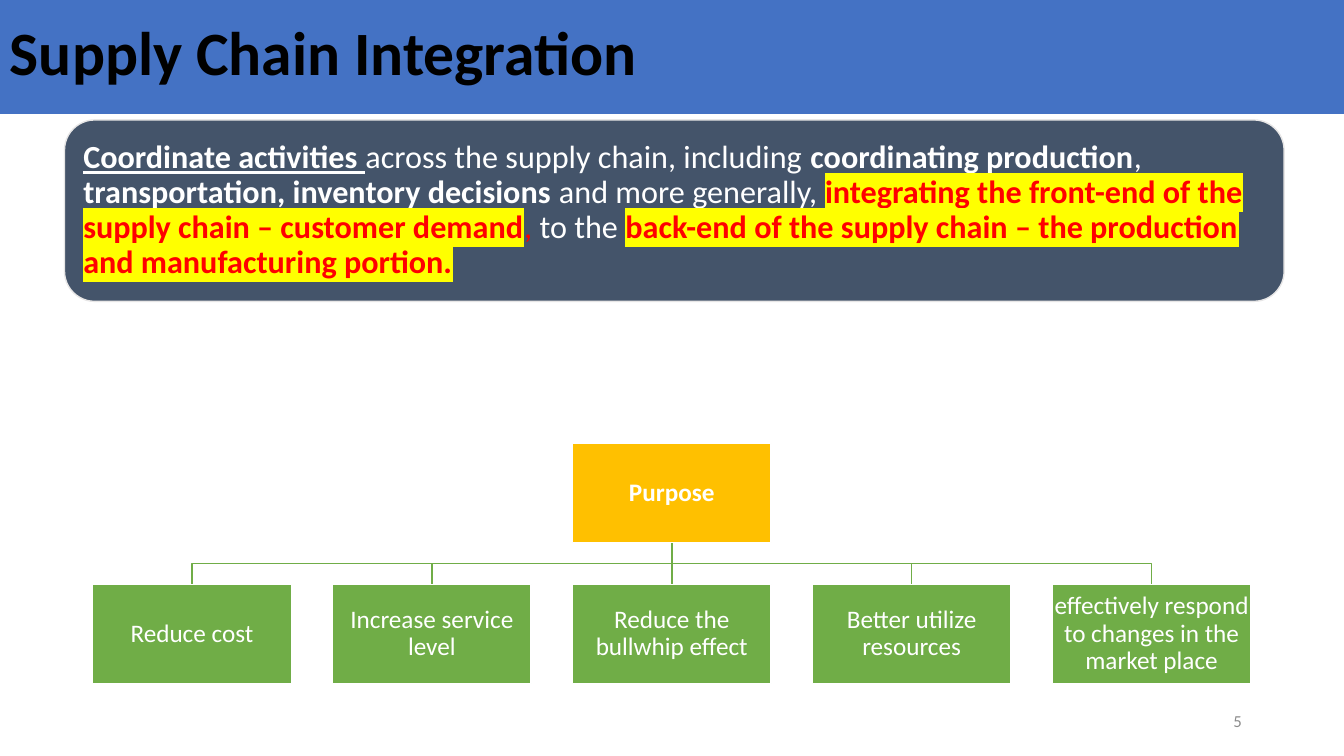
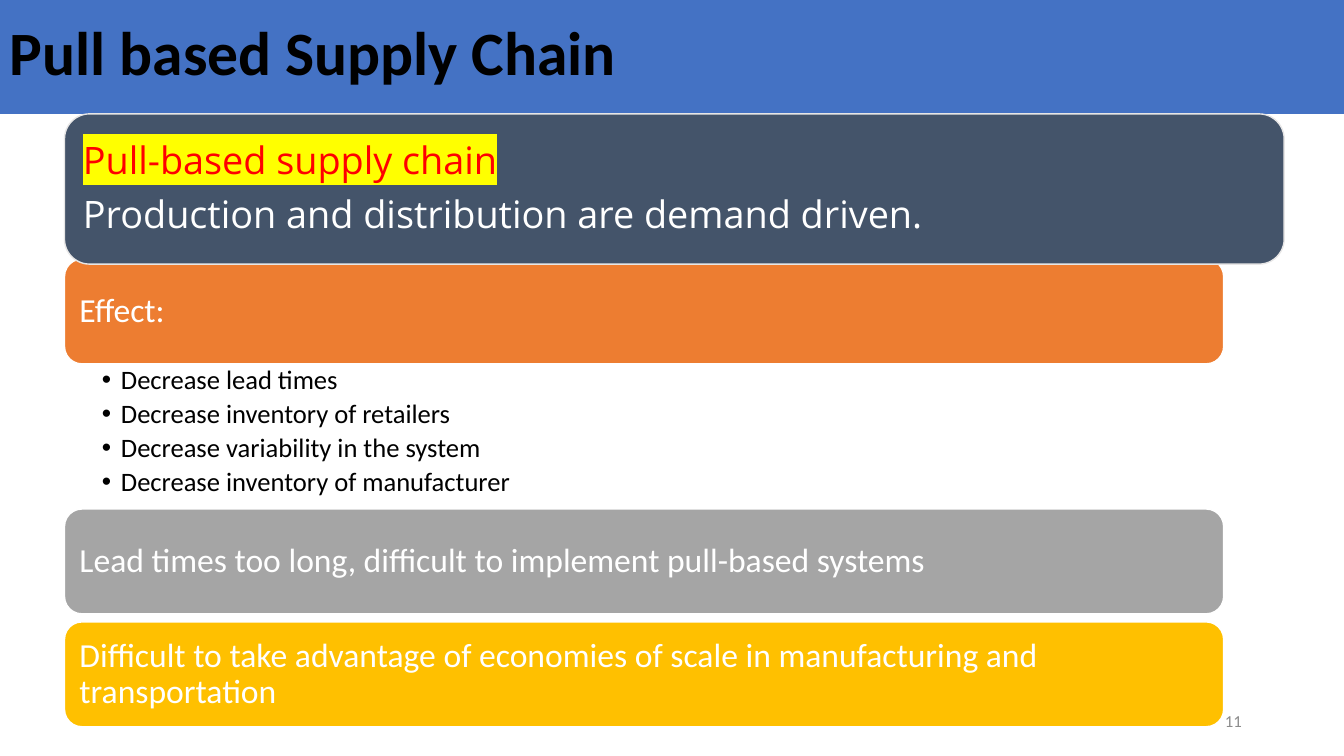
from collections import namedtuple

from lxml.etree import SubElement
from pptx import Presentation
from pptx.dml.color import RGBColor as RGB
from pptx.enum.shapes import MSO_CONNECTOR as Line, MSO_SHAPE as Shape
from pptx.enum.text import MSO_ANCHOR as Anchor, PP_ALIGN as Align
from pptx.oxml.ns import qn
from pptx.util import Inches, Pt

WHITE, BLACK = RGB(0xFF, 0xFF, 0xFF), RGB(0, 0, 0)
BLUE, SLATE = RGB(0x44, 0x72, 0xC4), RGB(0x44, 0x54, 0x6A)
GREEN, GOLD = RGB(0x70, 0xAD, 0x47), RGB(0xFF, 0xC0, 0x00)
ORANGE, GRAY = RGB(0xED, 0x7D, 0x31), RGB(0xA5, 0xA5, 0xA5)
PALE, DIM = RGB(0xE7, 0xE6, 0xE6), RGB(0x8C, 0x8C, 0x8C)
RED, YELLOW = RGB(0xFF, 0, 0), RGB(0xFF, 0xFF, 0)

WIDTH, HEIGHT = 40 / 3, 7.5
LEFT = 0.64
SANS, OPEN = "Calibri", "Open Sans"

Box = namedtuple("Box", "x y w h")
Style = namedtuple("Style", "bold color under mark",
                   defaults=(False, WHITE, False, False))
PLAIN, BOLD = Style(), Style(True)
LEAD = Style(True, under=True)
KEY = Style(True, RED, mark=True)
TERM = Style(color=RED, mark=True)


def inches(*sizes):
    return [Inches(size) for size in sizes]


def highlight(run):
    """Mark a run in yellow; its colour must be set already."""
    props = run.font._element
    mark = SubElement(props, qn("a:highlight"))
    SubElement(mark, qn("a:srgbClr"), val=str(YELLOW))
    props.find(qn("a:solidFill")).addnext(mark)


def bullet(para, indent):
    props = para._p.get_or_add_pPr()
    props.set("marL", str(Inches(indent)))
    props.set("indent", str(-Inches(indent)))
    SubElement(props, qn("a:buFont"), typeface="Arial")
    SubElement(props, qn("a:buChar"), char="•")


def write(shape, paras, size, pads, face=SANS, align=Align.LEFT,
          anchor=Anchor.MIDDLE, after=0, lines=0.9, indent=0):
    """Fill a shape with paragraphs, each a list of (text, style) pairs."""
    frame = shape.text_frame
    frame.word_wrap = True
    frame.vertical_anchor = anchor
    (frame.margin_left, frame.margin_top,
     frame.margin_right, frame.margin_bottom) = inches(*pads)
    for i, parts in enumerate(paras):
        para = frame.add_paragraph() if i else frame.paragraphs[0]
        para.alignment = align
        para.line_spacing = lines
        para.space_after = Pt(after)
        if indent:
            bullet(para, indent)
        for text, style in parts:
            run = para.add_run()
            run.text = text
            font = run.font
            font.name, font.size = face, Pt(size)
            font.bold, font.underline = style.bold, style.under
            font.color.rgb = style.color
            if style.mark:
                highlight(run)
        SubElement(para._p, qn("a:endParaRPr"), sz=str(size * 100))


def block(slide, kind, box, fill, edge=None):
    shape = slide.shapes.add_shape(kind, *inches(*box))
    shape.shadow.inherit = False
    shape.fill.solid()
    shape.fill.fore_color.rgb = fill
    if edge is None:
        shape.line.fill.background()
    else:
        shape.line.color.rgb = edge
        shape.line.width = Pt(1)
    return shape


def branch(slide, mid, foot, col, row):
    """Join a root's foot to a leaf's top, with a bend if they are apart."""
    if abs(col - mid) < 0.01:
        line = slide.shapes.add_connector(
            Line.STRAIGHT, *inches(mid, foot, mid, row))
        SubElement(line._element.spPr, qn("a:effectLst"))
    else:
        bus = (foot + row) / 2
        path = slide.shapes.build_freeform(*inches(mid, foot))
        path.add_line_segments(
            [inches(mid, bus), inches(col, bus), inches(col, row)],
            close=False)
        line = path.convert_to_shape()
        line.shadow.inherit = False
        line.fill.background()
    line.line.color.rgb = GREEN
    line.line.width = Pt(1)


def start(deck, title, number):
    """Add a slide with the title band and page number."""
    slide = deck.slides.add_slide(deck.slide_layouts[6])
    band = block(slide, Shape.RECTANGLE, Box(0, -0.03, WIDTH, 1.16), BLUE)
    write(band, [[(title, Style(True, BLACK))]], 44, (0.1, 0.05, 0.1, 0.05))
    page = slide.shapes.add_textbox(*inches(9.42, 6.95, 3, 0.4))
    write(page, [[(str(number), Style(color=DIM))]], 12,
          (0.1, 0.05, 0.1, 0.05), align=Align.RIGHT, lines=1)
    return slide


def panel(slide, box, paras, size, pad=0.1, face=SANS, after=0):
    shape = block(slide, Shape.ROUNDED_RECTANGLE, box, SLATE, PALE)
    write(shape, paras, size, [pad] * 4, face, after=after)


def tree(slide, box, root, leaves):
    """Draw a root over a row of leaves, joined by lines, inside box."""
    wide, high = 1.97, 0.98
    step = (box.w - wide) / (len(leaves) - 1)
    mid = box.x + box.w / 2
    foot, row = box.y + high, box.y + box.h - high
    cols = [box.x + wide / 2 + i * step for i in range(len(leaves))]

    for col in reversed(cols):
        branch(slide, mid, foot, col, row)

    nodes = [(mid, box.y, root, GOLD, BOLD)]
    nodes += [(col, row, leaf, GREEN, PLAIN)
              for col, leaf in zip(cols, leaves)]
    for col, top, text, fill, style in nodes:
        node = block(slide, Shape.RECTANGLE,
                     Box(col - wide / 2, top, wide, high), fill, WHITE)
        write(node, [[(text, style)]], 18, [0.01] * 4, align=Align.CENTER)


def bars(slide, box, items):
    """Stack (top, fill, text) bars in box, with tops measured from its top."""
    for top, fill, text in items:
        bar = block(slide, Shape.ROUNDED_RECTANGLE,
                    Box(box.x, box.y + top, box.w, 1.04), fill, WHITE)
        write(bar, [[(text, PLAIN)]], 24, [0.1] * 4)


def points(slide, box, items):
    area = slide.shapes.add_textbox(*inches(*box))
    write(area, [[(item, Style(color=BLACK))] for item in items], 19,
          (0.37, 0.03, 0.19, 0.03), anchor=Anchor.TOP, after=3.8, indent=0.19)


def purpose(deck):
    slide = start(deck, "Supply Chain Integration", 5)
    tree(slide, Box(0.92, 4.4, 11.49, 2.38), "Purpose", [
        "Reduce cost",
        "Increase service level",
        "Reduce the bullwhip effect",
        "Better utilize resources",
        "effectively respond to changes in the market place",
    ])
    panel(slide, Box(LEFT, 1.19, 12.1, 1.8), [[
        ("Coordinate activities ", LEAD),
        ("across the supply chain, including ", PLAIN),
        ("coordinating production", BOLD),
        (", ", PLAIN),
        ("transportation, inventory decisions ", BOLD),
        ("and more generally, ", PLAIN),
        ("integrating the front-end of the supply chain – customer demand",
         KEY),
        (", ", Style(color=RED)),
        ("to the ", PLAIN),
        ("back-end of the supply chain – the production and manufacturing "
         "portion.", KEY),
    ]], 23)


def pull(deck):
    slide = start(deck, "Pull based Supply Chain", 11)
    body = Box(LEFT, 2.57, 11.5, 4.64)
    bars(slide, body, [
        (0, ORANGE, "Effect:"),
        (2.48, GRAY,
         "Lead times too long, difficult to implement pull-based systems"),
        (3.6, GOLD, "Difficult to take advantage of economies of scale in "
                    "manufacturing and transportation"),
    ])
    points(slide, Box(body.x, body.y + 1.04, body.w, 1.44), [
        "Decrease lead times",
        "Decrease inventory of retailers",
        "Decrease variability in the system",
        "Decrease inventory of manufacturer",
    ])
    panel(slide, Box(LEFT, 1.13, 12.1, 1.49), [
        [("Pull-based supply chain", TERM)],
        [("Production and distribution are demand driven.", PLAIN)],
    ], 27, 0.11, OPEN, after=9.45)


def main():
    deck = Presentation()
    deck.slide_width, deck.slide_height = inches(WIDTH, HEIGHT)
    purpose(deck)
    pull(deck)
    deck.save("out.pptx")


if __name__ == "__main__":
    main()
